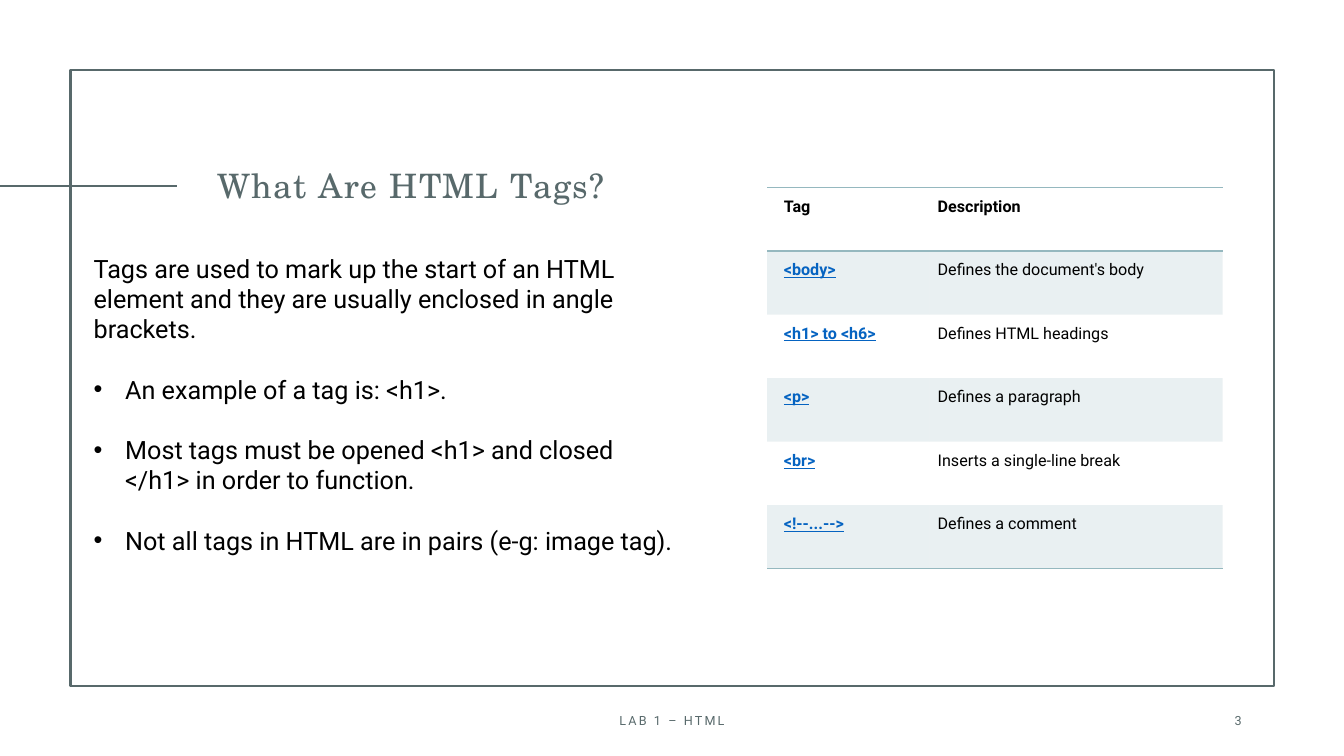
from dataclasses import dataclass

from lxml.etree import SubElement
from pptx import Presentation
from pptx.dml.color import RGBColor
from pptx.enum.shapes import MSO_CONNECTOR as Connector, MSO_SHAPE as Preset
from pptx.enum.text import MSO_ANCHOR as Anchor, MSO_AUTO_SIZE as AutoSize, PP_ALIGN as Align
from pptx.oxml.ns import qn
from pptx.util import Pt


@dataclass(frozen=True)
class Theme:
    slate: str = "58696B"
    teal: str = "95B8BF"
    link: str = "0563C1"
    black: str = "000000"
    heading_font: str = "TeX Gyre Schola"
    body_font: str = "Roboto"
    title_size: float = 24
    body_size: float = 18
    table_size: float = 11.5
    footer_size: float = 9
    rule_width: float = 1.5


THEME = Theme()
NO_TABLE_STYLE = "{2D5ABB26-0587-4C30-8999-92F81FD0307C}"

INTRO = ("Tags are used to mark up the start of an HTML element "
         "and they are usually enclosed in angle brackets.")
BULLETS = [
    "An example of a tag is: <h1>.",
    "Most tags must be opened <h1> and closed </h1> in order to function.",
    "Not all tags in HTML are in pairs (e-g: image tag).",
]
TAGS = [
    ("Tag", "Description"),
    ("<body>", "Defines the document's body"),
    ("<h1> to <h6>", "Defines HTML headings"),
    ("<p>", "Defines a paragraph"),
    ("<br>", "Inserts a single-line break"),
    ("<!--...-->", "Defines a comment"),
]


def add_run(paragraph, text, size, color, font=THEME.body_font, bold=False,
            underline=False, tracking=0):
    """Add a styled run; tracking is the letter spacing in points."""
    run = paragraph.add_run()
    run.text = text
    run.font.name = font
    run.font.size = Pt(size)
    run.font.color.rgb = RGBColor.from_string(color)
    run.font.bold = bold
    run.font.underline = underline
    if tracking:
        run.font._element.set("spc", str(round(tracking * 100)))


def add_text_frame(slide, left, top, width, height, anchor=Anchor.MIDDLE):
    box = slide.shapes.add_textbox(Pt(left), Pt(top), Pt(width), Pt(height))
    frame = box.text_frame
    frame.word_wrap = True
    frame.vertical_anchor = anchor
    return frame


def add_title(slide, text):
    heading = add_text_frame(slide, 148.3, 108, 332, 51.8).paragraphs[0]
    heading.line_spacing = 0.9
    add_run(heading, text, THEME.title_size, THEME.slate, THEME.heading_font, tracking=1)


def add_footer(slide, text, left, width, align):
    footer = add_text_frame(slide, left, 500.4, width, 28.8).paragraphs[0]
    footer.alignment = align
    add_run(footer, text, THEME.footer_size, THEME.slate, tracking=1.5)


def add_bullet(paragraph, indent):
    properties = paragraph._p.get_or_add_pPr()
    properties.set("marL", str(Pt(indent)))
    properties.set("indent", str(-Pt(indent)))
    SubElement(properties, qn("a:buFont")).set("typeface", "Arial")
    SubElement(properties, qn("a:buChar")).set("char", "•")


def add_explanation(slide):
    frame = add_text_frame(slide, 59.8, 177.1, 435.6, 225.4, Anchor.TOP)
    frame.auto_size = AutoSize.SHAPE_TO_FIT_TEXT
    add_run(frame.paragraphs[0], INTRO, THEME.body_size, THEME.black)
    for point in BULLETS:
        paragraph = frame.add_paragraph()
        paragraph.space_before = Pt(21.6)
        add_bullet(paragraph, 22.5)
        add_run(paragraph, point, THEME.body_size, THEME.black)


def add_border(cell, side):
    """Draw one cell edge: side is lnT or lnB."""
    edge = SubElement(cell._tc.get_or_add_tcPr(), qn(f"a:{side}"), w=str(Pt(1)))
    fill = SubElement(edge, qn("a:solidFill"))
    SubElement(fill, qn("a:srgbClr"), val=THEME.teal)


def shade(cell):
    cell.fill.solid()
    cell.fill.fore_color.rgb = RGBColor.from_string(THEME.teal)
    color = cell._tc.tcPr.find(f"{qn('a:solidFill')}/{qn('a:srgbClr')}")
    SubElement(color, qn("a:alpha"), val="20000")


def fill_cell(cell, text, row, column):
    is_header, is_link = row == 0, row > 0 and column == 0
    cell.margin_left = Pt(12 if column == 0 else 6)
    cell.margin_right = cell.margin_top = cell.margin_bottom = Pt(6)
    paragraph = cell.text_frame.paragraphs[0]
    paragraph.line_spacing = 1.07
    paragraph.space_after = Pt(15)
    add_run(paragraph, text, THEME.table_size, THEME.link if is_link else THEME.black,
            bold=is_header or is_link, underline=is_link)
    if is_header:
        add_border(cell, "lnT")
    if row in (0, len(TAGS) - 1):
        add_border(cell, "lnB")
    if row % 2:
        shade(cell)
    else:
        cell.fill.background()


def add_tag_table(slide):
    column_widths, row_height = (115.9, 209.5), 45.4
    table = slide.shapes.add_table(
        len(TAGS), len(column_widths), Pt(547.9), Pt(133.9),
        Pt(sum(column_widths)), Pt(row_height * len(TAGS))).table
    table.horz_banding = False
    table._tbl.tblPr.find(qn("a:tableStyleId")).text = NO_TABLE_STYLE
    for column, width in zip(table.columns, column_widths):
        column.width = Pt(width)
    for row, entry in enumerate(TAGS):
        table.rows[row].height = Pt(row_height)
        for column, text in enumerate(entry):
            fill_cell(table.cell(row, column), text, row, column)


def style_rule(line):
    line.color.rgb = RGBColor.from_string(THEME.slate)
    line.width = Pt(THEME.rule_width)


def add_title_rule(slide):
    rule = slide.shapes.add_connector(
        Connector.STRAIGHT, Pt(0), Pt(133.2), Pt(126.7), Pt(133.2))
    style_rule(rule.line)
    SubElement(rule._element.spPr, qn("a:effectLst"))


def add_page_frame(slide):
    border = slide.shapes.add_shape(
        Preset.RECTANGLE, Pt(50.4), Pt(49.9), Pt(859.7), Pt(439.9))
    border.shadow.inherit = False
    border.fill.background()
    style_rule(border.line)


def main():
    deck = Presentation()
    deck.slide_width, deck.slide_height = Pt(960), Pt(540)
    slide = deck.slides.add_slide(deck.slide_layouts[6])
    add_title_rule(slide)
    add_title(slide, "What Are HTML Tags?")
    add_footer(slide, "LAB 1 – HTML", 318, 324, Align.CENTER)
    add_footer(slide, "3", 678, 216, Align.RIGHT)
    add_explanation(slide)
    add_tag_table(slide)
    add_page_frame(slide)
    deck.save("out.pptx")


if __name__ == "__main__":
    main()
